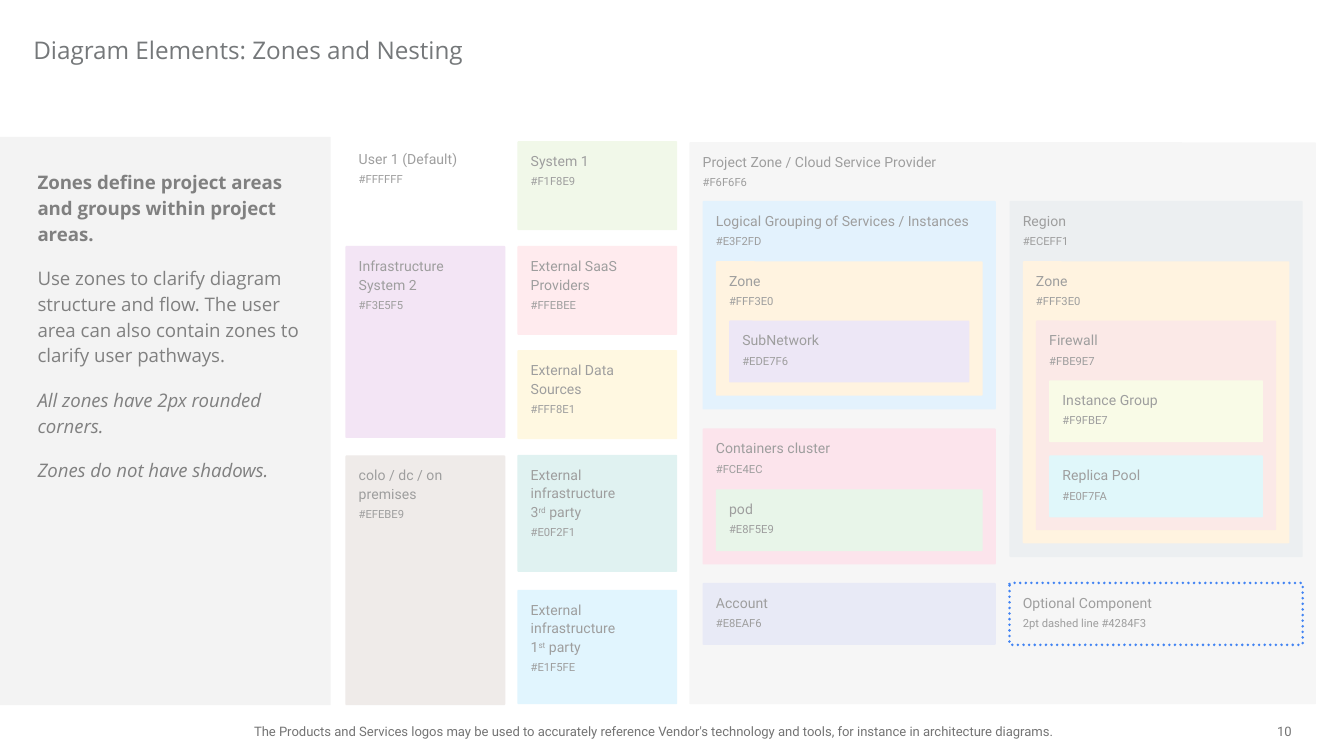
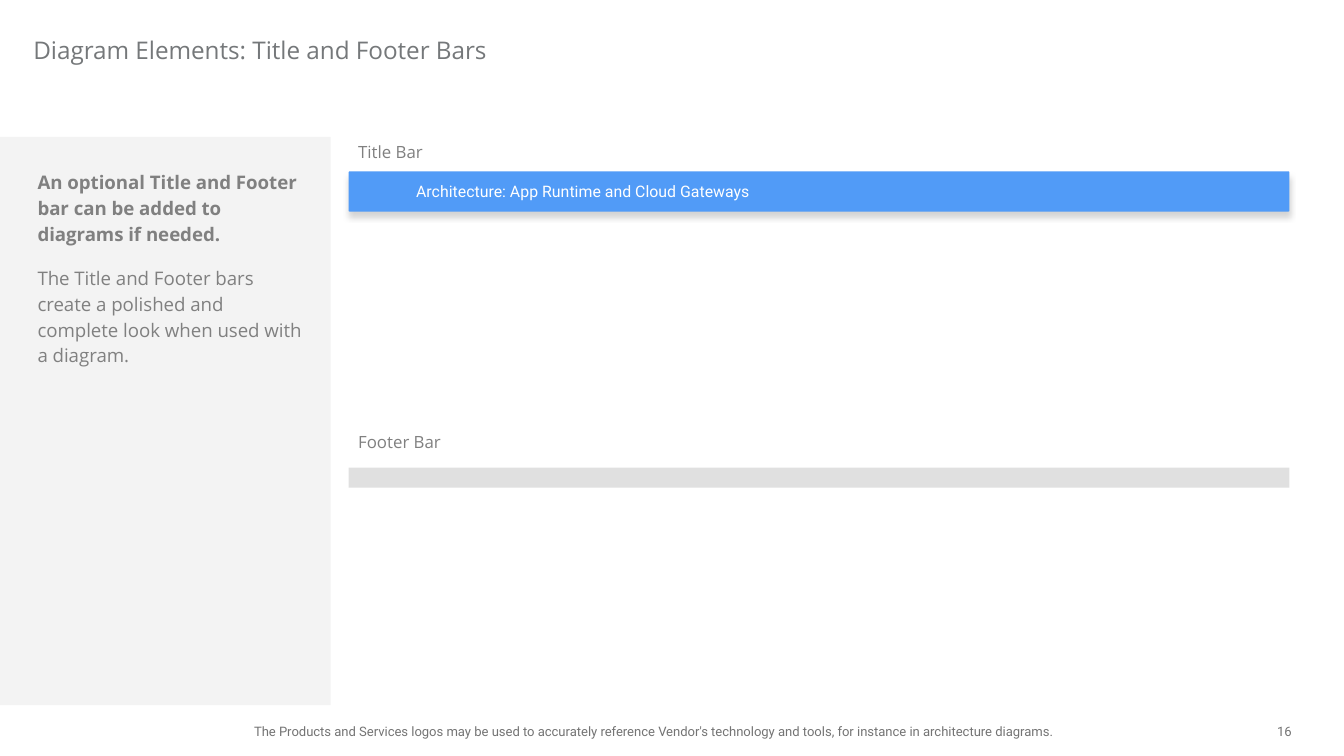
from typing import NamedTuple

from lxml import etree
from pptx import Presentation
from pptx.dml.color import RGBColor
from pptx.enum.dml import MSO_LINE
from pptx.enum.shapes import MSO_SHAPE
from pptx.enum.text import MSO_ANCHOR, PP_ALIGN
from pptx.oxml.ns import qn
from pptx.util import Cm, Pt

RECTANGLE, ROUNDED = MSO_SHAPE.RECTANGLE, MSO_SHAPE.ROUNDED_RECTANGLE
TOP, MIDDLE, BOTTOM = MSO_ANCHOR.TOP, MSO_ANCHOR.MIDDLE, MSO_ANCHOR.BOTTOM
LEFT, CENTER, RIGHT = PP_ALIGN.LEFT, PP_ALIGN.CENTER, PP_ALIGN.RIGHT
DOTTED = MSO_LINE.ROUND_DOT

HEADING_FONT, LABEL_FONT = "Open Sans", "Roboto"
PANEL, FOOTER_BAR, TITLE_BAR = "F3F3F3", "E0E0E0", "519BF7"
FOOTER_TEXT = ("The Products and Services logos may be used to accurately reference "
               "Vendor's technology and tools, for instance in architecture diagrams.")


class Frame(NamedTuple):
    left: float
    top: float
    width: float
    height: float


class Style(NamedTuple):
    font: str
    size: float
    color: str
    bold: bool = False
    italic: bool = False


class Column(NamedTuple):
    left: float
    width: float


class Zone(NamedTuple):
    """A labelled area; each depth level insets it on both sides, ^ marks superscript."""
    column: Column
    depth: int
    top: float
    height: float
    name: str
    label_width: float
    fill: str = ""


TITLE = Style(HEADING_FONT, 13, "75787A")
BODY = Style(HEADING_FONT, 10, "808080")
LEAD = BODY._replace(bold=True)
ASIDE = BODY._replace(italic=True)
CAPTION = BODY._replace(size=9)
FOOTER = Style(LABEL_FONT, 7, "747474")
BAR_TEXT = Style(LABEL_FONT, 8.5, "FFFFFF")
ZONE_NAME = Style(LABEL_FONT, 7.5, "9E9E9E")
ZONE_NOTE = ZONE_NAME._replace(size=6)

INSET = 0.25
CORNER_RADIUS = 0.02
LABEL_HEIGHT, LABEL_LINE = 0.86, 0.38
OPTIONAL_LINE = "4284F3"

INTERNAL = Column(6.53, 3.02)
EXTERNAL = Column(9.78, 3.02)
PROJECT = Column(13.03, 11.84)
SERVICES = Column(13.28, 5.54)
REGION = Column(19.08, 5.54)

ZONES = [
    Zone(PROJECT, 0, 2.69, 10.62, "Project Zone / Cloud Service Provider", 4.72, "F6F6F6"),
    Zone(INTERNAL, 0, 4.65, 3.63, "Infrastructure\nSystem 2", 2.62, "F3E5F5"),
    Zone(INTERNAL, 0, 8.61, 4.72, "colo / dc / on\npremises", 2.59, "EFEBE9"),
    Zone(INTERNAL, 0, 2.63, 1.73, "User 1 (Default)", 2.79, "FFFFFF"),
    Zone(EXTERNAL, 0, 2.67, 1.68, "System 1", 2.44, "F1F8E9"),
    Zone(EXTERNAL, 0, 6.62, 1.68, "External Data\nSources", 1.83, "FFF8E1"),
    Zone(EXTERNAL, 0, 8.6, 2.21, "External\ninfrastructure\n3^rd^ party", 1.88, "E0F2F1"),
    Zone(EXTERNAL, 0, 4.65, 1.68, "External SaaS\nProviders", 1.96, "FFEBEE"),
    Zone(EXTERNAL, 0, 11.15, 2.16, "External\ninfrastructure\n1^st^ party", 1.88, "E1F5FE"),
    Zone(SERVICES, 0, 3.8, 3.94, "Logical Grouping of Services / Instances", 5.2, "E3F2FD"),
    Zone(SERVICES, 1, 4.94, 2.54, "Zone", 1.6, "FFF3E0"),
    Zone(SERVICES, 2, 6.06, 1.17, "SubNetwork", 1.8, "EDE7F6"),
    Zone(SERVICES, 0, 8.1, 2.57, "Containers cluster", 2.49, "FCE4EC"),
    Zone(SERVICES, 1, 9.25, 1.17, "pod", 1.4, "E8F5E9"),
    Zone(SERVICES, 0, 11.02, 1.17, "Account", 1.4, "E8EAF6"),
    Zone(REGION, 0, 3.8, 6.73, "Region", 1.85, "ECEFF1"),
    Zone(REGION, 1, 4.94, 5.33, "Zone", 1.63, "FFF3E0"),
    Zone(REGION, 2, 6.06, 3.96, "Firewall", 1.4, "FBE9E7"),
    Zone(REGION, 0, 11.02, 1.17, "Optional Component", 2.8),
    Zone(REGION, 3, 7.19, 1.17, "Instance Group", 2.1, "F9FBE7"),
    Zone(REGION, 3, 8.61, 1.17, "Replica Pool", 1.8, "E0F7FA"),
]


def rgb(color: str) -> RGBColor:
    return RGBColor.from_string(color)


def lengths(frame: Frame) -> list:
    return [Cm(value) for value in frame]


def add_span(para, text: str, style: Style):
    span = para.add_run()
    span.text = text
    font = span.font
    font.name, font.size = style.font, Pt(style.size)
    font.bold, font.italic = style.bold, style.italic
    font.color.rgb = rgb(style.color)
    return span


def set_margins(text_frame, left: float, top: float, right: float, bottom: float) -> None:
    text_frame.margin_left, text_frame.margin_top = Cm(left), Cm(top)
    text_frame.margin_right, text_frame.margin_bottom = Cm(right), Cm(bottom)


def add_text(shapes, frame: Frame, paragraphs: list, margin: float = 0, anchor=TOP,
             align=LEFT, spacing: float = 1, gap: float = 0) -> None:
    """Adds a text box from (text, style) pairs, with gap points between paragraphs."""
    text_frame = shapes.add_textbox(*lengths(frame)).text_frame
    text_frame.word_wrap = True
    text_frame.vertical_anchor = anchor
    set_margins(text_frame, margin, margin, margin, margin)
    for index, (text, style) in enumerate(paragraphs):
        para = text_frame.add_paragraph() if index else text_frame.paragraphs[0]
        para.alignment, para.line_spacing = align, spacing
        para.space_before = Pt(gap if index else 0)
        add_span(para, text, style)


def add_area(shapes, kind, frame: Frame, fill: str = ""):
    area = shapes.add_shape(kind, *lengths(frame))
    area.shadow.inherit = False
    area.line.fill.background()
    if kind == ROUNDED:
        area.adjustments[0] = CORNER_RADIUS / min(frame.width, frame.height)
    if fill:
        area.fill.solid()
        area.fill.fore_color.rgb = rgb(fill)
    else:
        area.fill.background()
    return area


def add_dotted_line(shape) -> None:
    shape.line.color.rgb = rgb(OPTIONAL_LINE)
    shape.line.width, shape.line.dash_style = Pt(1.5), DOTTED
    shape._element.spPr.find(qn("a:ln")).set("cap", "rnd")


def add_drop_shadow(shape) -> None:
    effects = shape._element.spPr.find(qn("a:effectLst"))
    shadow = etree.SubElement(effects, qn("a:outerShdw"), blurRad=str(Pt(3)),
                              dist=str(Pt(3)), dir="5400000", algn="bl", rotWithShape="0")
    color = etree.SubElement(shadow, qn("a:srgbClr"), val="000000")
    etree.SubElement(color, qn("a:alpha"), val="16000")


def add_zone(page, zone: Zone) -> None:
    shapes = page.shapes.add_group_shape().shapes
    left = zone.column.left + zone.depth * INSET
    width = zone.column.width - 2 * zone.depth * INSET
    area = add_area(shapes, ROUNDED, Frame(left, zone.top, width, zone.height), zone.fill)
    if not zone.fill:
        add_dotted_line(area)

    lines = zone.name.split("\n")
    height = LABEL_HEIGHT + LABEL_LINE * (len(lines) - 1)
    label = shapes.add_textbox(*lengths(Frame(left, zone.top, zone.label_width, height)))
    label.text_frame.word_wrap = True
    set_margins(label.text_frame, 0.25, 0.18, 0, 0)
    para = label.text_frame.paragraphs[0]
    para.line_spacing = Pt(10)
    for line in lines:
        for index, part in enumerate(line.split("^")):
            span = add_span(para, part, ZONE_NAME)
            if index % 2:
                span.font._element.set("baseline", "30000")
        para.add_line_break()
    note = f"#{zone.fill}" if zone.fill else f"2pt dashed line #{OPTIONAL_LINE}"
    add_span(para, note, ZONE_NOTE)


def add_page(deck, number: int, title: str, side_text: list):
    """Adds a page with its title, side panel, footer and page number."""
    page = deck.slides.add_slide(deck.slide_layouts[6])
    shapes = page.shapes
    add_text(shapes, Frame(23.29, 13.72, 1.12, 0.2), [(str(number), FOOTER)],
             anchor=MIDDLE, align=RIGHT)
    add_text(shapes, Frame(1.02, 13.72, 22.66, 0.2), [(FOOTER_TEXT, FOOTER)],
             anchor=MIDDLE, align=CENTER)
    add_area(shapes, RECTANGLE, Frame(0, 2.59, 6.25, 10.74), PANEL)
    add_text(shapes, Frame(0.38, 0, 24.51, 1.47), [(title, TITLE)],
             margin=0.25, anchor=BOTTOM, spacing=1.15)
    add_text(shapes, Frame(0.46, 2.92, 5.54, 6.68), side_text,
             margin=0.25, spacing=1.15, gap=10)
    return page


def add_zones_page(deck) -> None:
    page = add_page(deck, 10, "Diagram Elements: Zones and Nesting", [
        ("Zones define project areas and groups within project areas.", LEAD),
        ("Use zones to clarify diagram structure and flow. The user area can also "
         "contain zones to clarify user pathways.", BODY),
        ("All zones have 2px rounded corners.", ASIDE),
        ("Zones do not have shadows.", ASIDE),
    ])
    for zone in ZONES:
        add_zone(page, zone)


def add_bars_page(deck) -> None:
    page = add_page(deck, 16, "Diagram Elements: Title and Footer Bars", [
        ("An optional Title and Footer bar can be added to diagrams if needed.", LEAD),
        ("The Title and Footer bars create a polished and complete look when used "
         "with a diagram.", BODY),
    ])
    shapes = page.shapes
    left, width = 6.59, 17.78
    add_text(shapes, Frame(left, 7.98, 7.44, 0.61), [("Footer Bar", CAPTION)], margin=0.18)
    add_text(shapes, Frame(left, 2.49, 13.79, 0.61), [("Title Bar", CAPTION)], margin=0.18)
    add_area(shapes, RECTANGLE, Frame(left, 8.84, width, 0.38), FOOTER_BAR)

    bar = add_area(shapes, ROUNDED, Frame(left, 3.24, width, 0.76), TITLE_BAR)
    add_drop_shadow(bar)
    bar.text_frame.vertical_anchor = TOP
    set_margins(bar.text_frame, 1.27, 0.18, 0, 0)
    para = bar.text_frame.paragraphs[0]
    para.alignment, para.space_before = LEFT, Pt(5)
    add_span(para, "Architecture: App Runtime and Cloud Gateways", BAR_TEXT)


def main() -> None:
    deck = Presentation()
    deck.slide_width, deck.slide_height = Cm(25.4), Cm(14.29)
    add_zones_page(deck)
    add_bars_page(deck)
    deck.save("out.pptx")


if __name__ == "__main__":
    main()
